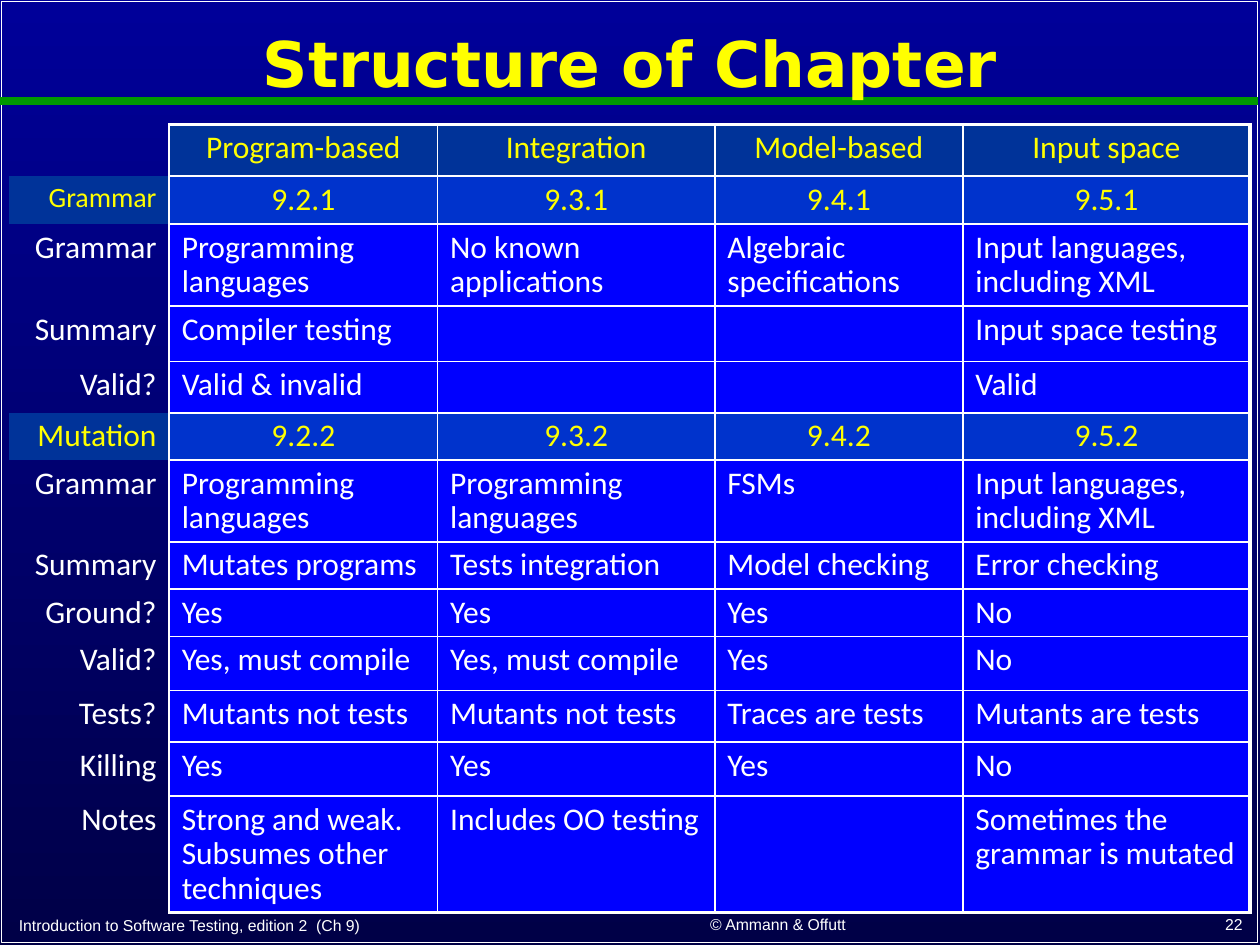
from lxml.etree import SubElement
from pptx import Presentation
from pptx.dml.color import RGBColor
from pptx.enum.shapes import MSO_CONNECTOR, MSO_SHAPE
from pptx.enum.text import MSO_ANCHOR, MSO_AUTO_SIZE, PP_ALIGN
from pptx.oxml.ns import qn
from pptx.util import Cm, Pt

COLORS = {
    "sky": "000099", "night": "000047", "white": "FFFFFF", "yellow": "FFFF00",
    "green": "009900", "header": "003399", "section": "0033CC", "body": "0000FF",
}
PLAIN_TABLE_STYLE = "{2D5ABB26-0587-4C30-8999-92F81FD0307C}"
COLUMN_WIDTHS = [3.23, 5.41, 5.59, 5.0, 5.79]
ROW_HEIGHTS = [1.04, 0.97, 1.63, 1.12, 0.97, 0.94, 1.63, 0.94, 0.94, 1.09, 1.04, 1.09, 2.31]
SECTION_ROWS = (1, 5)
CHAPTER = [
    ["", "Program-based", "Integration", "Model-based", "Input space"],
    ["Grammar", "9.2.1", "9.3.1", "9.4.1", "9.5.1"],
    ["Grammar", "Programming languages", "No known applications",
     "Algebraic specifications", "Input languages, including XML"],
    ["Summary", "Compiler testing", "", "", "Input space testing"],
    ["Valid?", "Valid & invalid", "", "", "Valid"],
    ["Mutation", "9.2.2", "9.3.2", "9.4.2", "9.5.2"],
    ["Grammar", "Programming languages", "Programming languages", "FSMs",
     "Input languages, including XML"],
    ["Summary", "Mutates programs", "Tests integration", "Model checking", "Error checking"],
    ["Ground?", "Yes", "Yes", "Yes", "No"],
    ["Valid?", "Yes, must compile", "Yes, must compile", "Yes", "No"],
    ["Tests?", "Mutants not tests", "Mutants not tests", "Traces are tests", "Mutants are tests"],
    ["Killing", "Yes", "Yes", "Yes", "No"],
    ["Notes", "Strong and weak. Subsumes other techniques", "Includes OO testing", "",
     "Sometimes the grammar is mutated"],
]


def rgb(color):
    return RGBColor.from_string(COLORS[color])


def write(paragraph, text, color, align, **font_values):
    paragraph.alignment = align
    run = paragraph.add_run()
    run.text = text
    run.font.color.rgb = rgb(color)
    for name, value in font_values.items():
        setattr(run.font, name, value)


def paint_background(slide):
    fill = slide.background.fill
    fill.gradient()
    fill.gradient_angle = 270
    for stop, color, position in zip(fill.gradient_stops, ("sky", "night"), (0, 1)):
        stop.color.rgb = rgb(color)
        stop.position = position


def add_frame(slide, left, top, width, height):
    frame = slide.shapes.add_shape(
        MSO_SHAPE.RECTANGLE, Cm(left), Cm(top), Cm(width), Cm(height))
    frame.shadow.inherit = False
    frame.fill.background()
    frame.line.color.rgb = rgb("white")
    frame.line.width = Pt(1)

    rule_y = Cm(top + 2)
    rule = slide.shapes.add_connector(
        MSO_CONNECTOR.STRAIGHT, 0, rule_y, Cm(left + width), rule_y)
    rule.line.color.rgb = rgb("green")
    rule.line.width = Pt(4.5)
    SubElement(rule._element.spPr, qn("a:effectLst"))


def add_footer(slide, left, top, width, height, text, align):
    footer = slide.shapes.add_textbox(Cm(left), Cm(top), Cm(width), Cm(height))
    footer.text_frame.word_wrap = False
    footer.text_frame.vertical_anchor = MSO_ANCHOR.BOTTOM
    write(footer.text_frame.paragraphs[0], text, "white", align, name="Arial", size=Pt(9))


def place_title(slide, left, top, width, height):
    title = slide.shapes.title
    title.left, title.top, title.width, title.height = map(Cm, (left, top, width, height))
    heading = title.text_frame
    heading.auto_size = MSO_AUTO_SIZE.NONE
    heading.vertical_anchor = MSO_ANCHOR.MIDDLE
    heading.paragraphs[0].line_spacing = 0.9
    write(heading.paragraphs[0], "Structure of Chapter", "yellow", PP_ALIGN.CENTER,
          name="DejaVu Sans", size=Pt(36), bold=True)
    slide.shapes._spTree.append(title._element)


def add_borders(cell, widths):
    properties = cell._tc.get_or_add_tcPr()
    for side, width in widths.items():
        border = SubElement(properties, qn(f"a:ln{side}"), w=str(Pt(width)))
        fill = SubElement(border, qn("a:solidFill"))
        SubElement(fill, qn("a:srgbClr"), val=COLORS["white"])


def format_cell(cell, text, row, column):
    is_label = column == 0
    is_heading = row == 0 or row in SECTION_ROWS
    if is_label:
        add_borders(cell, {"R": 1})
        fill = "header" if row in SECTION_ROWS else None
        align = PP_ALIGN.RIGHT
    else:
        add_borders(cell, {
            "L": 1,
            "R": 2.25 if column == len(COLUMN_WIDTHS) - 1 else 1,
            "T": 2.25 if row == 0 else 1,
            "B": 2.25 if row == len(ROW_HEIGHTS) - 1 else 1,
        })
        fill = "header" if row == 0 else "section" if is_heading else "body"
        align = PP_ALIGN.CENTER if is_heading else PP_ALIGN.LEFT
    if fill:
        cell.fill.solid()
        cell.fill.fore_color.rgb = rgb(fill)
    else:
        cell.fill.background()
    if text:
        paragraph = cell.text_frame.paragraphs[0]
        paragraph.line_spacing = 0.9
        space_before = SubElement(paragraph._p.get_or_add_pPr(), qn("a:spcBef"))
        SubElement(space_before, qn("a:spcPct"), val="30000")
        write(paragraph, text, "yellow" if is_heading else "white", align,
              name="Calibri", size=Pt(16 if is_label and row == 1 else 18))


def add_chapter_table(slide, left, top):
    table = slide.shapes.add_table(
        len(ROW_HEIGHTS), len(COLUMN_WIDTHS), Cm(left), Cm(top),
        Cm(sum(COLUMN_WIDTHS)), Cm(sum(ROW_HEIGHTS))).table
    table.first_row = table.horz_banding = False
    table._tbl.tblPr.find(qn("a:tableStyleId")).text = PLAIN_TABLE_STYLE
    for column, width in zip(table.columns, COLUMN_WIDTHS):
        column.width = Cm(width)
    for row, height in zip(table.rows, ROW_HEIGHTS):
        row.height = Cm(height)
    for row, texts in enumerate(CHAPTER):
        for column, text in enumerate(texts):
            format_cell(table.cell(row, column), text, row, column)


def main():
    deck = Presentation()
    deck.slide_width, deck.slide_height = Cm(25.4), Cm(19.05)
    slide = deck.slides.add_slide(deck.slide_layouts[5])
    paint_background(slide)
    add_frame(slide, 0.03, 0.03, 25.32, 18.97)
    add_footer(slide, 0.13, 18.26, 10.8, 0.71,
               "Introduction to Software Testing, edition 2  (Ch 9)", PP_ALIGN.LEFT)
    add_footer(slide, 11.66, 18.24, 8.05, 0.71, "© Ammann & Offutt", PP_ALIGN.CENTER)
    add_footer(slide, 20.02, 18.21, 5.28, 0.74, "22", PP_ALIGN.RIGHT)
    place_title(slide, 0.43, 0.28, 24.54, 2.13)
    add_chapter_table(slide, 0.18, 2.51)
    deck.save("out.pptx")


if __name__ == "__main__":
    main()
